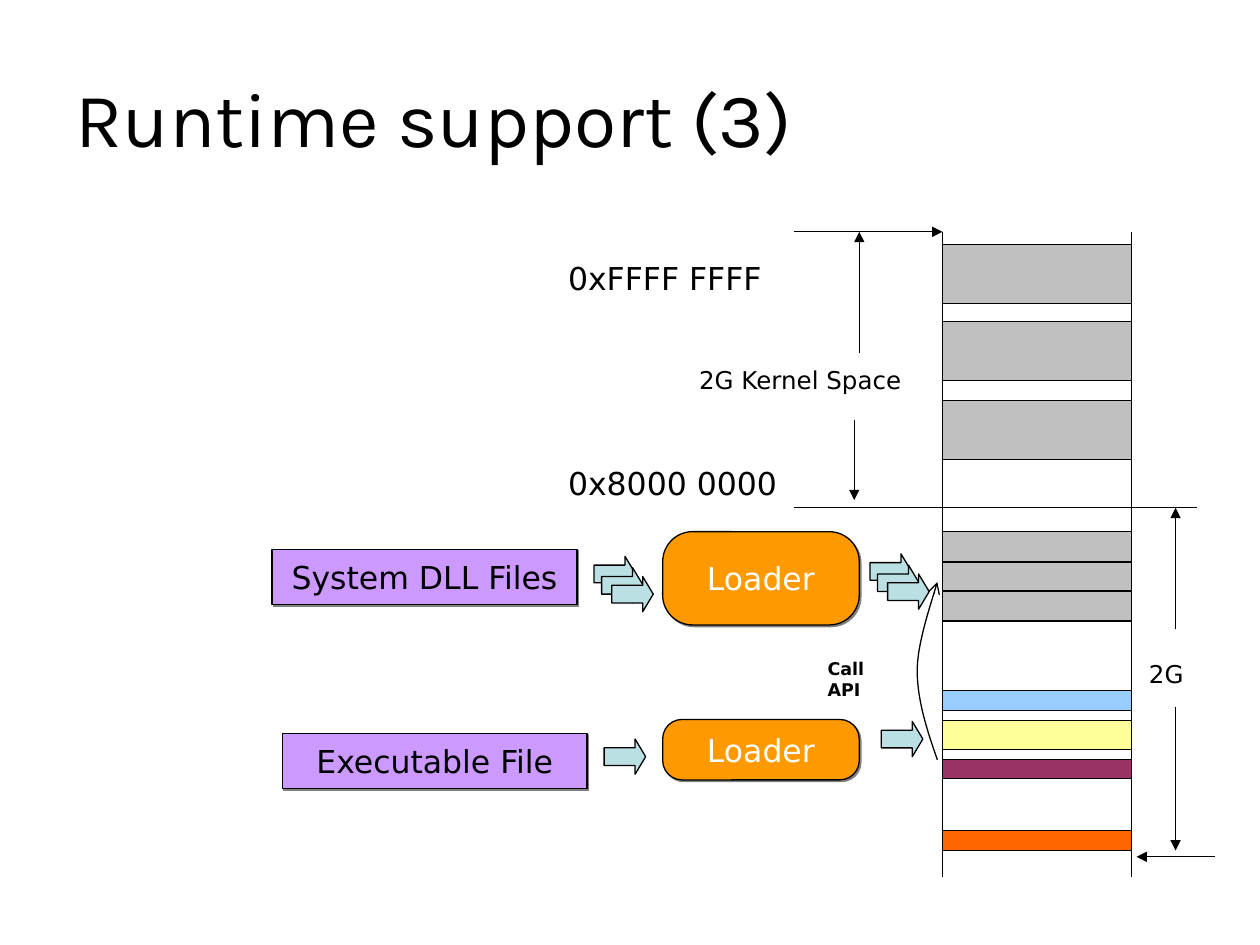
from lxml.etree import SubElement
from pptx import Presentation
from pptx.dml.color import RGBColor
from pptx.enum.shapes import MSO_CONNECTOR as CONN, MSO_SHAPE as SHAPE
from pptx.enum.text import MSO_ANCHOR as ANCHOR, PP_ALIGN as ALIGN
from pptx.oxml.ns import qn
from pptx.util import Inches, Pt

FONT = "DejaVu Sans"
MEM_LEFT, MEM_RIGHT = 7.48, 8.98
TOP, MIDDLE, BOTTOM = 1.84, 4.03, 6.96

BANDS = [
    ("C0C0C0", 0.47, [1.94, 2.55, 3.18]),
    ("C0C0C0", 0.24, [4.22, 4.46, 4.69]),
    ("99CCFF", 0.16, [5.48]),
    ("FFFF99", 0.23, [5.72]),
    ("993366", 0.15, [6.03]),
    ("FF6600", 0.16, [6.59]),
]
LINES = [
    (MEM_LEFT, TOP, MEM_LEFT, BOTTOM),
    (MEM_RIGHT, TOP, MEM_RIGHT, BOTTOM),
    (6.3, MIDDLE, 9.5, MIDDLE),
]
ARROWS = [
    (6.3, TOP, MEM_LEFT, TOP),
    (9.64, 6.8, 9.02, 6.8),
    (6.82, 2.8, 6.82, TOP),
    (6.78, 3.33, 6.78, 3.97),
    (9.33, 4.99, 9.33, MIDDLE),
    (9.33, 5.61, 9.33, 6.75),
]
LABELS = [
    ("0xFFFF FFFF", 4.41, 2.01, 2.05, 0.4, 18, False),
    ("0x8000 0000", 4.41, 3.63, 2.05, 0.4, 18, False),
    ("2G Kernel Space", 5.45, 2.85, 1.87, 0.34, 14, False),
    ("2G", 9.02, 5.18, 0.62, 0.34, 14, False),
    ("Call API", 6.47, 5.17, 0.76, 0.27, 10, True),
]
BOXES = [
    ("System DLL Files", SHAPE.RECTANGLE, 2.16, 4.36, 2.42, 0.44, "CC99FF", "000000"),
    ("Executable File", SHAPE.RECTANGLE, 2.24, 5.82, 2.42, 0.44, "CC99FF", "000000"),
    ("Loader", SHAPE.ROUNDED_RECTANGLE, 5.26, 4.22, 1.56, 0.74, "FF9900", "FFFFFF"),
    ("Loader", SHAPE.ROUNDED_RECTANGLE, 5.26, 5.71, 1.56, 0.48, "FF9900", "FFFFFF"),
]
SINGLE_FLOWS = [(4.82, 5.84), (7.02, 5.7)]
STACKED_FLOWS = [(4.74, 4.39), (6.93, 4.37)]
STACK_STEPS = [(0, 0), (0.06, 0.09), (0.14, 0.16)]
CALL_CURVE = [
    [(7.44, 6.03), (7.36, 5.8), (7.28, 5.56), (7.28, 5.32)],
    [(7.28, 5.32), (7.28, 5.09), (7.41, 4.73), (7.44, 4.62)],
]


def color(target, value):
    target.rgb = RGBColor.from_string(value)


def style_line(s, tail=None):
    color(s.line.color, "000000")
    s.line.width = Pt(0.75)
    if tail:
        SubElement(s.line._get_or_add_ln(), qn("a:tailEnd"), type=tail)


def style_text(p, size, value, name=FONT, bold=False):
    p.font.size, p.font.name, p.font.bold = Pt(size), name, bold
    color(p.font.color, value)


def add_shape(shapes, kind, x, y, w, h, fill):
    s = shapes.add_shape(kind, *map(Inches, (x, y, w, h)))
    s.shadow.inherit = False
    s.fill.solid()
    color(s.fill.fore_color, fill)
    style_line(s)
    return s


def add_line(shapes, ends, tail=None):
    s = shapes.add_connector(CONN.STRAIGHT, *map(Inches, ends))
    style_line(s, tail)
    SubElement(s._element.spPr, qn("a:effectLst"))


def add_label(shapes, text, x, y, w, h, size, bold):
    tf = shapes.add_textbox(*map(Inches, (x, y, w, h))).text_frame
    tf.word_wrap = True
    tf.text = text
    style_text(tf.paragraphs[0], size, "000000", bold=bold)


def add_box(shapes, text, kind, x, y, w, h, fill, ink):
    s = add_shape(shapes, kind, x, y, w, h, fill)
    if kind == SHAPE.ROUNDED_RECTANGLE:
        s.adjustments[0] = 0.32
    effects = s._element.spPr.find(qn("a:effectLst"))
    shadow = SubElement(effects, qn("a:outerShdw"), dist=str(Pt(1.4)),
                        dir="2700000", algn="ctr", rotWithShape="0")
    SubElement(shadow, qn("a:srgbClr"), val="808080")
    tf = s.text_frame
    tf.word_wrap = False
    tf.vertical_anchor = ANCHOR.MIDDLE
    tf.text = text
    p = tf.paragraphs[0]
    p.alignment = ALIGN.CENTER
    style_text(p, 18, ink)


def add_flow(shapes, x, y):
    s = add_shape(shapes, SHAPE.DOWN_ARROW, x, y, 0.28, 0.33, "BBE0E3")
    s.adjustments[0], s.adjustments[1] = 0.5, 0.3
    s.rotation = 270


def bezier(points, t):
    weights = ((1 - t) ** 3, 3 * t * (1 - t) ** 2, 3 * t * t * (1 - t), t ** 3)
    return tuple(Inches(sum(w * v for w, v in zip(weights, axis)))
                 for axis in zip(*points))


def add_curve(shapes, curve, steps=20):
    builder = shapes.build_freeform(*bezier(curve[0], 0))
    builder.add_line_segments(
        [bezier(part, i / steps) for part in curve for i in range(1, steps + 1)],
        close=False)
    s = builder.convert_to_shape()
    s.shadow.inherit = False
    s.fill.background()
    style_line(s, "arrow")


def add_title(slide, text):
    s = slide.shapes.title
    s.left, s.top, s.width, s.height = map(Inches, (0.5, 0.3, 9, 1.25))
    tf = s.text_frame
    tf.vertical_anchor = ANCHOR.MIDDLE
    tf.text = text
    p = tf.paragraphs[0]
    p.alignment = ALIGN.LEFT
    style_text(p, 44, "000000", "Karla")


def main():
    """Build the slide on how loaders map files into memory."""
    prs = Presentation()
    prs.slide_width, prs.slide_height = Inches(10), Inches(7.5)
    slide = prs.slides.add_slide(prs.slide_layouts[5])
    shapes = slide.shapes
    add_title(slide, "Runtime support (3)")
    for fill, height, tops in BANDS:
        for top in tops:
            add_shape(shapes, SHAPE.RECTANGLE, MEM_LEFT, top,
                      MEM_RIGHT - MEM_LEFT, height, fill)
    for ends in LINES:
        add_line(shapes, ends)
    for ends in ARROWS:
        add_line(shapes, ends, "triangle")
    for label in LABELS:
        add_label(shapes, *label)
    for box in BOXES:
        add_box(shapes, *box)
    stacked = [(x + dx, y + dy) for x, y in STACKED_FLOWS for dx, dy in STACK_STEPS]
    for x, y in SINGLE_FLOWS + stacked:
        add_flow(shapes, x, y)
    add_curve(shapes, CALL_CURVE)
    prs.save("out.pptx")


if __name__ == "__main__":
    main()
